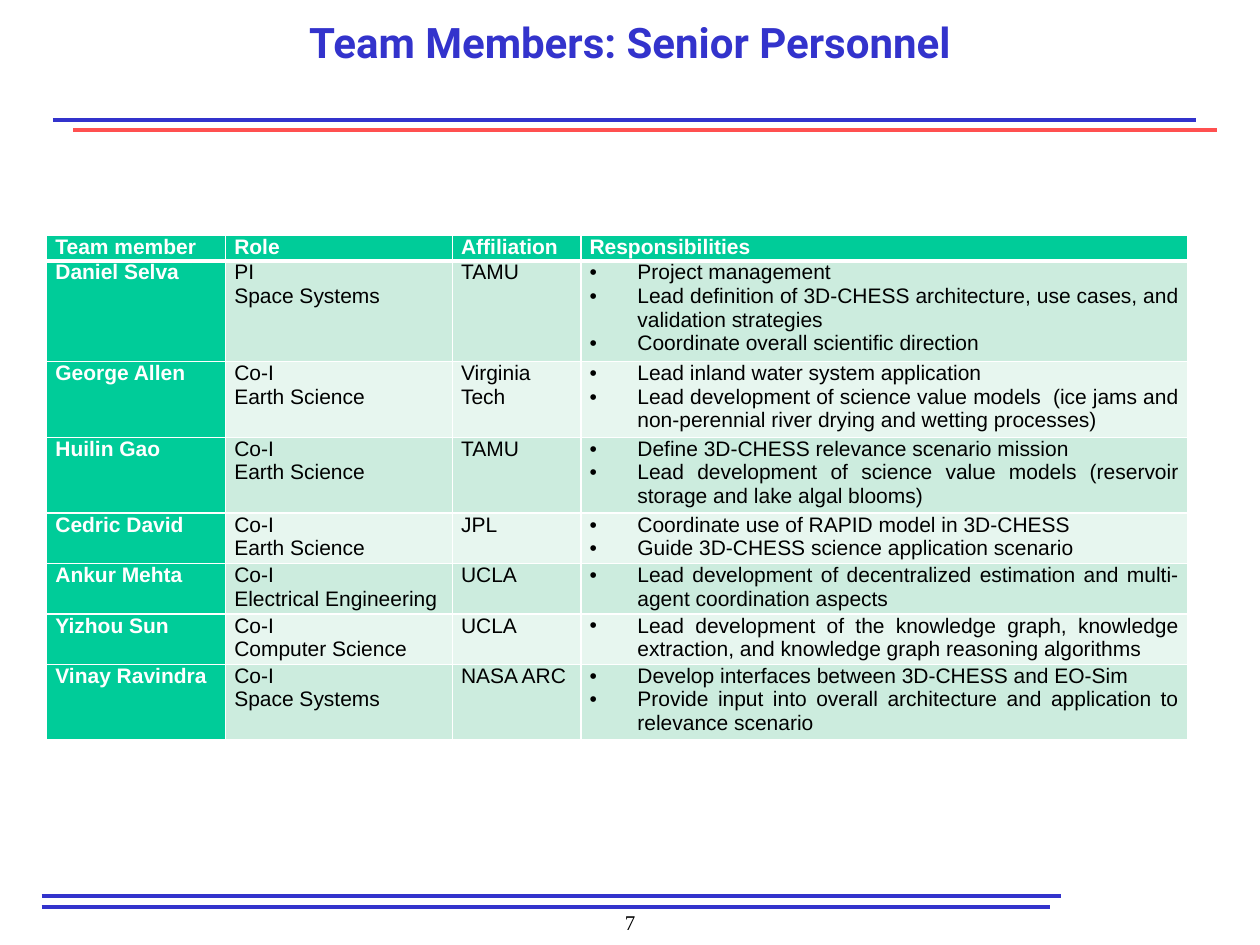
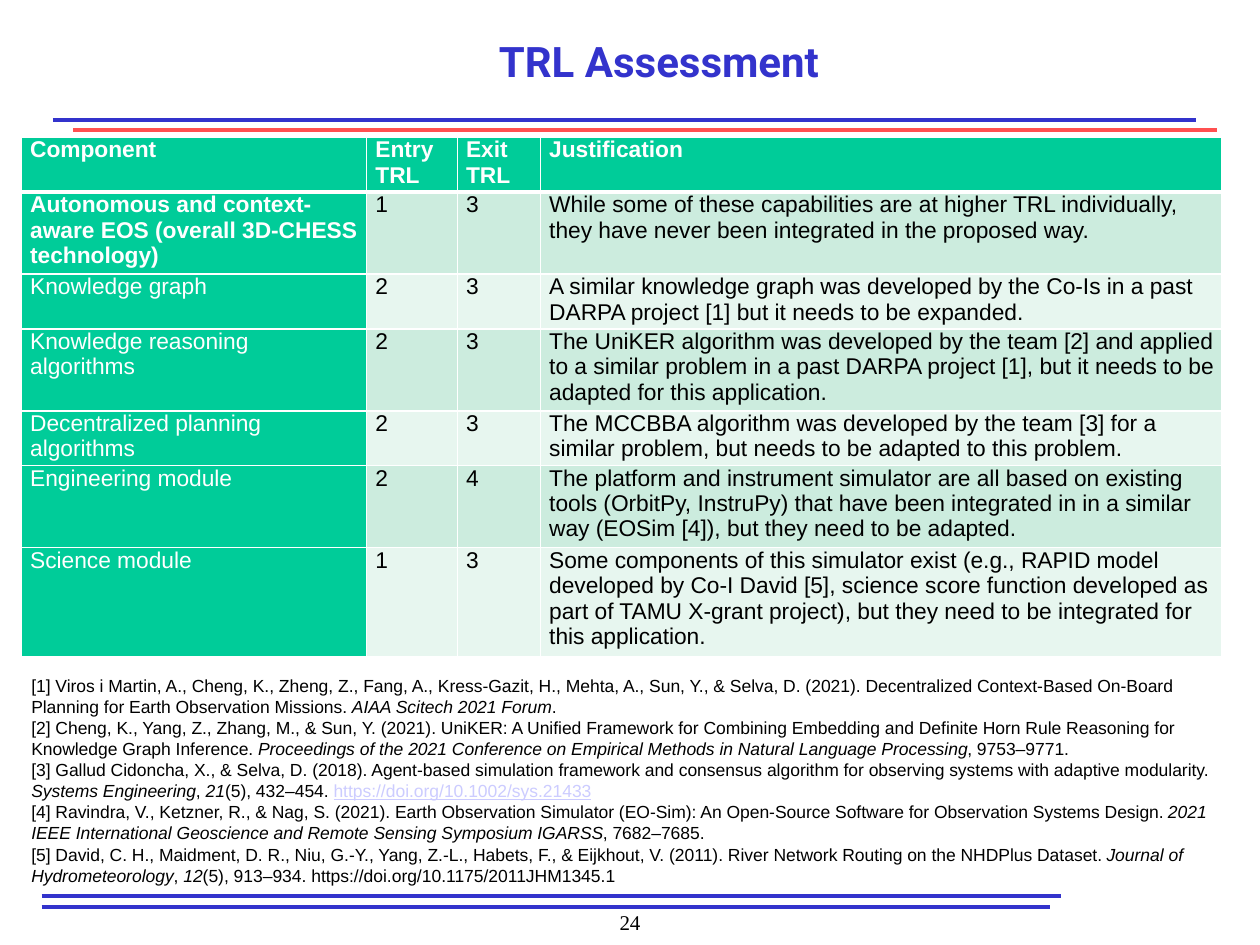
from dataclasses import dataclass
from typing import Any

from lxml import etree
from pptx import Presentation
from pptx.dml.color import RGBColor
from pptx.enum.shapes import MSO_CONNECTOR
from pptx.enum.text import MSO_ANCHOR, PP_ALIGN
from pptx.oxml import parse_xml
from pptx.oxml.ns import nsdecls, qn
from pptx.util import Inches, Pt

STRAIGHT = MSO_CONNECTOR.STRAIGHT
TOP = MSO_ANCHOR.TOP
LEFT, CENTER, JUSTIFY = PP_ALIGN.LEFT, PP_ALIGN.CENTER, PP_ALIGN.JUSTIFY


@dataclass(frozen=True)
class Theme:
    blue: str = "3333CC"
    red: str = "FF5050"
    green: str = "00CC99"
    bands: tuple[str, str] = ("CCECDE", "E7F6EF")
    white: str = "FFFFFF"
    black: str = "000000"
    link: str = "CCCCFF"
    head: str = "Roboto"
    body: str = "Arial"
    page: str = "Times New Roman"
    title: int = 24
    number: int = 12
    note: int = 10


THEME = Theme()


@dataclass(frozen=True)
class Box:
    left: float
    top: float
    width: float
    height: float

    def lengths(self) -> list[int]:
        return [Inches(v) for v in (self.left, self.top, self.width, self.height)]


@dataclass(frozen=True)
class Rule:
    left: float
    right: float
    y: float
    color: str
    width: float


@dataclass(frozen=True)
class Run:
    text: str
    italic: bool = False
    link: bool = False


@dataclass(frozen=True)
class Grid:
    box: Box
    cols: tuple[float, ...]
    rows: tuple[float, ...]
    cells: tuple[tuple[str, ...], ...]
    size: int
    align: Any
    gap: int
    bold: range
    bullet: int | None = None


RULES = (
    Rule(0.42, 9.49, 0.95, THEME.blue, 2.25),
    Rule(0.58, 9.66, 1.03, THEME.red, 2.25),
    Rule(0.33, 8.33, 7.2, THEME.blue, 2),
    Rule(0.33, 8.42, 7.11, THEME.blue, 2),
)

TEAM = Grid(
    Box(0.37, 1.87, 9.06, 4),
    (1.42, 1.8, 1.02, 4.82),
    (0,) * 8,
    (
        ("Team member", "Role", "Affiliation", "Responsibilities"),
        ("Daniel Selva", "PI\nSpace Systems", "TAMU",
         "Project management\n"
         "Lead definition of 3D-CHESS architecture, use cases, and validation strategies\n"
         "Coordinate overall scientific direction"),
        ("George Allen", "Co-I\nEarth Science", "Virginia Tech",
         "Lead inland water system application\n"
         "Lead development of science value models  (ice jams and "
         "non-perennial river drying and wetting processes)"),
        ("Huilin Gao", "Co-I\nEarth Science", "TAMU",
         "Define 3D-CHESS relevance scenario mission\n"
         "Lead development of science value models (reservoir storage and lake algal blooms)"),
        ("Cedric David", "Co-I\nEarth Science", "JPL",
         "Coordinate use of RAPID model in 3D-CHESS\n"
         "Guide 3D-CHESS science application scenario"),
        ("Ankur Mehta", "Co-I\nElectrical Engineering", "UCLA",
         "Lead development of decentralized estimation and multi-agent coordination aspects"),
        ("Yizhou Sun", "Co-I\nComputer Science", "UCLA",
         "Lead development of the knowledge graph, knowledge extraction, "
         "and knowledge graph reasoning algorithms"),
        ("Vinay Ravindra", "Co-I\nSpace Systems", "NASA ARC",
         "Develop interfaces between 3D-CHESS and EO-Sim\n"
         "Provide input into overall architecture and application to relevance scenario"),
    ),
    size=12, align=JUSTIFY, gap=0, bold=range(8), bullet=3,
)

LEVELS = Grid(
    Box(0.17, 1.09, 9.52, 4.12),
    (2.74, 0.72, 0.66, 5.41),
    (0.42, 0.56, 0.42, 0.56, 0.42, 0.56, 0.83),
    (
        ("Component", "Entry TRL", "Exit TRL", "Justification"),
        ("Autonomous and context-aware EOS (overall 3D-CHESS technology)", "1", "3",
         "While some of these capabilities are at higher TRL individually, "
         "they have never been integrated in the proposed way."),
        ("Knowledge graph", "2", "3",
         "A similar knowledge graph was developed by the Co-Is in a past "
         "DARPA project [1] but it needs to be expanded."),
        ("Knowledge reasoning algorithms", "2", "3",
         "The UniKER algorithm was developed by the team [2] and applied to a similar "
         "problem in a past DARPA project [1], but it needs to be adapted for this application."),
        ("Decentralized planning algorithms", "2", "3",
         "The MCCBBA algorithm was developed by the team [3] for a similar problem, "
         "but needs to be adapted to this problem."),
        ("Engineering module", "2", "4",
         "The platform and instrument simulator are all based on existing tools "
         "(OrbitPy, InstruPy) that have been integrated in in a similar way "
         "(EOSim [4]), but they need to be adapted."),
        ("Science module", "1", "3",
         "Some components of this simulator exist (e.g., RAPID model developed by "
         "Co-I David [5], science score function developed as part of TAMU X-grant "
         "project), but they need to be integrated for this application."),
    ),
    size=13, align=LEFT, gap=6, bold=range(2),
)

WORKS = (
    (Run("[1] Viros i Martin, A., Cheng, K., Zheng, Z., Fang, A., Kress-Gazit, H., "
         "Mehta, A., Sun, Y., & Selva, D. (2021). Decentralized Context-Based On-Board "
         "Planning for Earth Observation Missions. "),
     Run("AIAA Scitech 2021 Forum", italic=True), Run(".")),
    (Run("[2] Cheng, K., Yang, Z., Zhang, M., & Sun, Y. (2021). UniKER: A Unified "
         "Framework for Combining Embedding and Definite Horn Rule Reasoning for "
         "Knowledge Graph Inference. "),
     Run("Proceedings of the 2021 Conference on Empirical Methods in Natural "
         "Language Processing", italic=True), Run(", 9753–9771.")),
    (Run("[3] Gallud Cidoncha, X., & Selva, D. (2018). Agent-based simulation framework "
         "and consensus algorithm for observing systems with adaptive modularity. "),
     Run("Systems Engineering", italic=True), Run(", "), Run("21", italic=True),
     Run("(5), 432–454. "), Run("https://doi.org/10.1002/sys.21433", link=True)),
    (Run("[4] Ravindra, V., Ketzner, R., & Nag, S. (2021). Earth Observation Simulator "
         "(EO-Sim): An Open-Source Software for Observation Systems Design. "),
     Run("2021 IEEE International Geoscience and Remote Sensing Symposium IGARSS", italic=True),
     Run(", 7682–7685.")),
    (Run("[5] David, C. H., Maidment, D. R., Niu, G.-Y., Yang, Z.-L., Habets, F., "
         "& Eijkhout, V. (2011). River Network Routing on the NHDPlus Dataset. "),
     Run("Journal of Hydrometeorology", italic=True), Run(", "), Run("12", italic=True),
     Run("(5), 913–934. https://doi.org/10.1175/2011JHM1345.1")),
)


def apply(item: Any, values: dict[str, Any]) -> None:
    for name, value in values.items():
        setattr(item, name, value)


def write(para: Any, text: str, color: str, **values: Any) -> None:
    run = para.add_run()
    run.text = text
    apply(run.font, values)
    run.font.color.rgb = RGBColor.from_string(color)


def add_text(slide: Any, box: Box) -> Any:
    frame = slide.shapes.add_textbox(*box.lengths()).text_frame
    apply(frame, {"word_wrap": True, "vertical_anchor": TOP})
    return frame


def add_label(slide: Any, box: Box, text: str, color: str, **values: Any) -> None:
    para = add_text(slide, box).paragraphs[0]
    para.alignment = CENTER
    write(para, text, color, **values)


def add_rule(slide: Any, rule: Rule) -> None:
    y = Inches(rule.y)
    line = slide.shapes.add_connector(STRAIGHT, Inches(rule.left), y, Inches(rule.right), y)
    line.line.color.rgb = RGBColor.from_string(rule.color)
    line.line.width = Pt(rule.width)
    etree.SubElement(line._element.spPr, qn("a:effectLst"))


def add_page(deck: Any, title: str, box: Box, number: int) -> Any:
    slide = deck.slides.add_slide(deck.slide_layouts[6])
    for rule in RULES:
        add_rule(slide, rule)
    add_label(slide, Box(4.29, 7.17, 1.42, 0.33), str(number), THEME.black,
              name=THEME.page, size=Pt(THEME.number))
    add_label(slide, box, title, THEME.blue,
              name=THEME.head, size=Pt(THEME.title), bold=True)
    return slide


def add_edges(cell: Any, row: int) -> None:
    props = cell._tc.get_or_add_tcPr()
    thick = {("B", 0), ("T", 1)}
    for side in "LRTB":
        width = Pt(3 if (side, row) in thick else 1)
        props.append(parse_xml(
            f'<a:ln{side} {nsdecls("a")} w="{width}"><a:solidFill>'
            f'<a:srgbClr val="{THEME.white}"/></a:solidFill></a:ln{side}>'))


def add_bullet(para: Any) -> None:
    props = para._p.get_or_add_pPr()
    indent = Inches(0.38)
    props.set("marL", str(indent))
    props.set("indent", str(-indent))
    etree.SubElement(props, qn("a:buFont"), typeface=THEME.body)
    etree.SubElement(props, qn("a:buChar"), char="•")


def fill_cell(cell: Any, grid: Grid, row: int, col: int) -> None:
    side = Inches(0.07)
    apply(cell, {"margin_left": side, "margin_right": side, "margin_top": 0,
                 "margin_bottom": 0, "vertical_anchor": TOP})
    add_edges(cell, row)
    lead = row == 0 or col == 0
    cell.fill.solid()
    cell.fill.fore_color.rgb = RGBColor.from_string(
        THEME.green if lead else THEME.bands[(row - 1) % 2])
    frame = cell.text_frame
    for index, text in enumerate(grid.cells[row][col].split("\n")):
        para = frame.add_paragraph() if index else frame.paragraphs[0]
        apply(para, {"alignment": grid.align, "space_after": Pt(grid.gap if row else 6)})
        if row and col == grid.bullet:
            add_bullet(para)
        write(para, text, THEME.white if lead else THEME.black, name=THEME.body,
              size=Pt(grid.size), bold=lead and row in grid.bold)


def add_grid(slide: Any, grid: Grid) -> None:
    holder = slide.shapes.add_table(len(grid.rows), len(grid.cols), *grid.box.lengths())
    table = holder.table
    for col, width in enumerate(grid.cols):
        table.columns[col].width = Inches(width)
    for row, height in enumerate(grid.rows):
        table.rows[row].height = Inches(height)
        for col in range(len(grid.cols)):
            fill_cell(table.cell(row, col), grid, row, col)
    holder.height = Inches(grid.box.height)


def add_works(slide: Any) -> None:
    frame = add_text(slide, Box(0.15, 5.31, 9.56, 2.29))
    for index, work in enumerate(WORKS):
        para = frame.add_paragraph() if index else frame.paragraphs[0]
        for run in work:
            write(para, run.text, THEME.link if run.link else THEME.black,
                  name=THEME.body, size=Pt(THEME.note),
                  italic=run.italic, underline=run.link)


def main() -> None:
    deck = Presentation()
    apply(deck, {"slide_width": Inches(10), "slide_height": Inches(7.5)})
    team = add_page(deck, "Team Members: Senior Personnel", Box(1.25, 0.08, 7.5, 0.58), 7)
    add_grid(team, TEAM)
    levels = add_page(deck, "TRL Assessment", Box(1.48, 0.23, 7.5, 0.58), 24)
    add_grid(levels, LEVELS)
    add_works(levels)
    deck.save("out.pptx")


if __name__ == "__main__":
    main()
